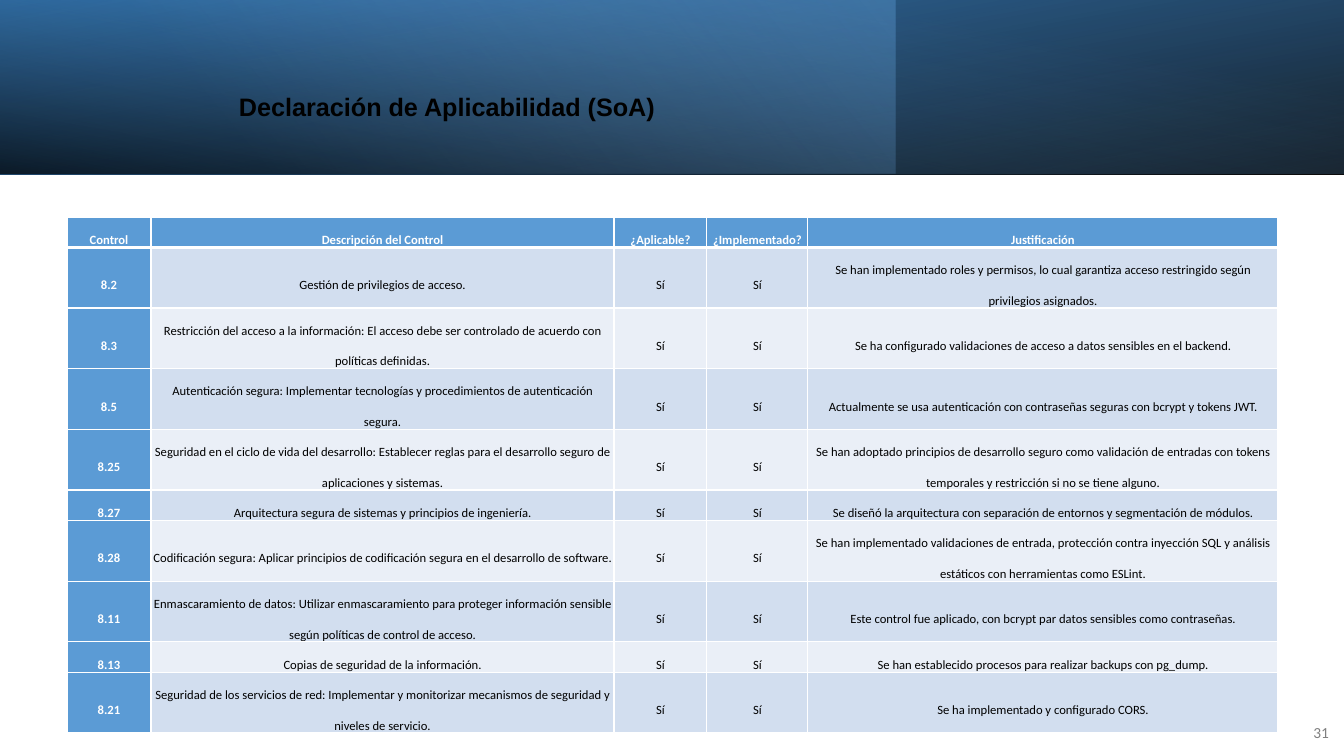
from pptx import Presentation
from pptx import util as u
from pptx.dml.color import RGBColor
from pptx.enum import shapes, text
from pptx.oxml import parse_xml
from pptx.oxml.ns import nsdecls

TITLE = "Declaración de Aplicabilidad (SoA)"
PAGE = "31"
HEAD = ["Control", "Descripción del Control", "¿Aplicable?", "¿Implementado?", "Justificación"]
ROWS = [  # control, description, reason, text lines
    ("8.2", "Gestión de privilegios de acceso.",
     "Se han implementado roles y permisos, lo cual garantiza acceso restringido según privilegios asignados.", 2),
    ("8.3", "Restricción del acceso a la información: El acceso debe ser controlado de acuerdo con políticas definidas.",
     "Se ha configurado validaciones de acceso a datos sensibles en el backend.", 2),
    ("8.5", "Autenticación segura: Implementar tecnologías y procedimientos de autenticación segura.",
     "Actualmente se usa autenticación con contraseñas seguras con bcrypt y tokens JWT.", 2),
    ("8.25", "Seguridad en el ciclo de vida del desarrollo: Establecer reglas para el desarrollo seguro de "
     "aplicaciones y sistemas.",
     "Se han adoptado principios de desarrollo seguro como validación de entradas con tokens temporales "
     "y restricción si no se tiene alguno.", 2),
    ("8.27", "Arquitectura segura de sistemas y principios de ingeniería.",
     "Se diseñó la arquitectura con separación de entornos y segmentación de módulos.", 1),
    ("8.28", "Codificación segura: Aplicar principios de codificación segura en el desarrollo de software.",
     "Se han implementado validaciones de entrada, protección contra inyección SQL y análisis estáticos "
     "con herramientas como ESLint.", 2),
    ("8.11", "Enmascaramiento de datos: Utilizar enmascaramiento para proteger información sensible según "
     "políticas de control de acceso.",
     "Este control fue aplicado, con bcrypt par datos sensibles como contraseñas.", 2),
    ("8.13", "Copias de seguridad de la información.",
     "Se han establecido procesos para realizar backups con pg_dump.", 1),
    ("8.21", "Seguridad de los servicios de red: Implementar y monitorizar mecanismos de seguridad y niveles de servicio.",
     "Se ha implementado y configurado CORS.", 2),
]
COLS = [84, 463, 93, 101, 470]
TALL = {1: 28, 2: 57}  # row height by text lines

THEME = {
    "ink": "000000", "white": "FFFFFF", "grey": "808080",
    "blue": "5B9BD5", "deep": "2E75B6", "pale": "9DC3E6",
    "bands": ("D2DEEF", "EAEFF7"),
    "title": 18, "cell": 9, "page": 11,
    "sans": "Arial", "body": "Calibri",
}
BANDS = [  # width, turn, flip, angle, stops: place, colour, opacity
    (1344, 180, True, 100, [(0, "ink", 96), (100, "deep", 100)]),
    (896, 0, False, 140, [(0, "blue", 41), (74, "pale", 0)]),
    (1344, 0, True, 260, [(0, "ink", 63), (78, "blue", 15)]),
]


def px(n):
    return u.Emu(round(n * 914400 / 100.8))


def write(para, words, size, font, color, bold=False):
    run = para.add_run()
    run.text = words
    run.font.size = u.Pt(size)
    run.font.name = font
    run.font.bold = bold
    run.font.color.rgb = RGBColor.from_string(color)


def space(para, line, before, after):
    para.line_spacing = line
    para.space_before = u.Pt(before)
    para.space_after = u.Pt(after)


def add_band(slide, width, turn, flip, angle, stops):
    """Draw one translucent gradient layer of the header."""
    band = slide.shapes.add_shape(shapes.MSO_SHAPE.RECTANGLE, 0, 0, px(width), px(174))
    band.shadow.inherit = False
    band.line.fill.background()
    band.rotation = turn
    props = band._element.spPr
    if flip:
        props.xfrm.set("flipH", "1")
    marks = "".join(
        f'<a:gs pos="{pos * 1000}"><a:srgbClr val="{THEME[name]}">'
        f'<a:alpha val="{alpha * 1000}"/></a:srgbClr></a:gs>'
        for pos, name, alpha in stops)
    props.prstGeom.addnext(parse_xml(
        f'<a:gradFill {nsdecls("a")} rotWithShape="1"><a:gsLst>{marks}</a:gsLst>'
        f'<a:lin ang="{angle * 60000}" scaled="0"/></a:gradFill>'))


def add_box(slide, left, top, width, height):
    frame = slide.shapes.add_textbox(px(left), px(top), px(width), px(height)).text_frame
    frame.word_wrap = True
    frame.vertical_anchor = text.MSO_ANCHOR.MIDDLE
    return frame.paragraphs[0]


def edge(cell, row):
    """Add white borders, thick under the header row."""
    props = cell._tc.get_or_add_tcPr()
    thick = {"T": row == 1, "B": row == 0}
    for side in "LRTB":
        width = u.Pt(3 if thick.get(side) else 1)
        props.append(parse_xml(
            f'<a:ln{side} {nsdecls("a")} w="{width}"><a:solidFill>'
            f'<a:srgbClr val="{THEME["white"]}"/></a:solidFill></a:ln{side}>'))


def fill_cell(cell, row, col, words):
    key = row == 0 or col == 0
    edge(cell, row)
    cell.fill.solid()
    shade = THEME["blue"] if key else THEME["bands"][(row - 1) % 2]
    cell.fill.fore_color.rgb = RGBColor.from_string(shade)
    cell.margin_left = cell.margin_right = px(2)
    cell.margin_top = cell.margin_bottom = 0
    cell.vertical_anchor = text.MSO_ANCHOR.MIDDLE
    para = cell.text_frame.paragraphs[0]
    para.alignment = text.PP_ALIGN.CENTER
    space(para, 2, 12, 8)
    write(para, words, THEME["cell"], THEME["body"], THEME["white" if key else "ink"], key)


def add_grid(slide):
    grid = [HEAD] + [[code, about, "Sí", "Sí", why] for code, about, why, _ in ROWS]
    tall = [TALL[1]] + [TALL[row[-1]] for row in ROWS]
    table = slide.shapes.add_table(
        len(grid), len(COLS), px(67), px(217), px(sum(COLS)), px(sum(tall))).table
    for col, width in enumerate(COLS):
        table.columns[col].width = px(width)
    for row, cells in enumerate(grid):
        table.rows[row].height = px(tall[row])
        for col, words in enumerate(cells):
            fill_cell(table.cell(row, col), row, col, words)


def main():
    deck = Presentation()
    deck.slide_width, deck.slide_height = px(1344), px(756)
    slide = deck.slides.add_slide(deck.slide_layouts[6])
    for band in BANDS:
        add_band(slide, *band)

    title = add_box(slide, 78, 27, 778, 128)
    title._p.get_or_add_pPr().set("marL", str(px(151)))
    space(title, 2, 4, 2)
    write(title, TITLE, THEME["title"], THEME["sans"], THEME["ink"], True)

    page = add_box(slide, 1290, 712, 49, 40)
    page.alignment = text.PP_ALIGN.RIGHT
    page.space_after = u.Pt(6)
    write(page, PAGE, THEME["page"], THEME["body"], THEME["grey"])

    add_grid(slide)
    deck.save("out.pptx")


if __name__ == "__main__":
    main()
